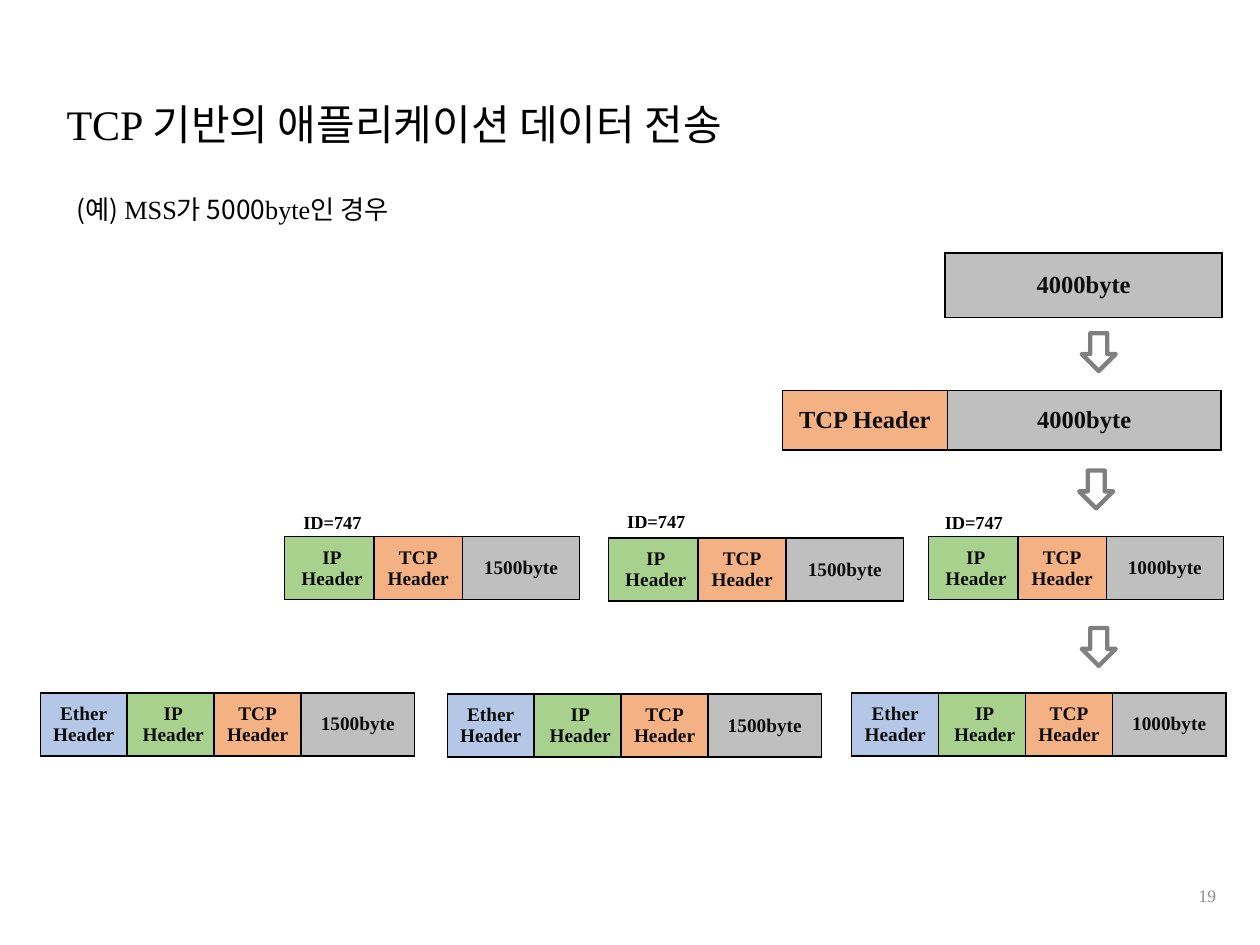
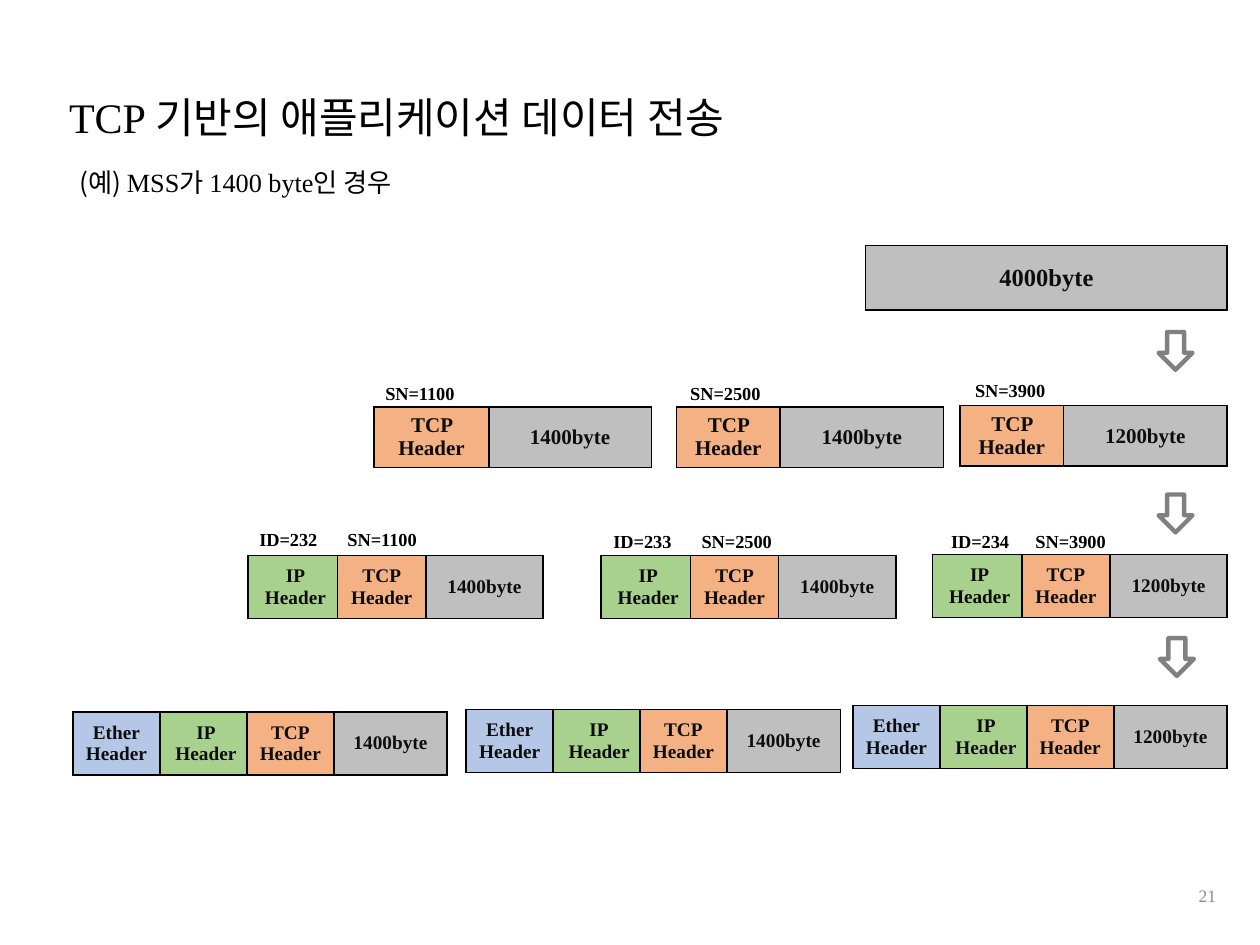
"""Build two slides showing how TCP data is split into packets."""
from dataclasses import dataclass

from lxml.etree import SubElement
from pptx import Presentation
from pptx.dml.color import RGBColor
from pptx.enum.shapes import MSO_SHAPE as Preset
from pptx.enum.text import MSO_ANCHOR as Anchor, PP_ALIGN as Align
from pptx.oxml.ns import qn
from pptx.util import Inches, Pt


@dataclass(frozen=True)
class Theme:
    latin: str = "Times New Roman"
    korean: str = "Noto Sans CJK KR"
    black: str = "000000"
    cell_text: str = "0D0D0D"
    arrow: str = "808080"
    page: str = "8C8C8C"
    title_size: float = 24
    subtitle_size: float = 15
    label_size: float = 10.5
    page_size: float = 10
    korean_spacing: float = 0.85


THEME = Theme()
FILLS = {"Ether": "B4C7E7", "IP": "A9D18E", "TCP": "F4B183", "data": "BFBFBF"}
TITLE = [("TCP ", THEME.latin), ("기반의 애플리케이션 데이터 전송", THEME.korean)]

# kind: height, type size, then (part, caption, width) for each cell
STAGES = {
    "data": (0.51, 14, [("data", None, 2.2)]),
    "wide data": (0.51, 14, [("data", None, 2.87)]),
    "segment": (0.47, 14, [("TCP", "TCP Header", 1.31), ("data", None, 2.17)]),
    "first segment": (0.47, 12, [("TCP", "TCP Header", 0.91), ("data", None, 1.29)]),
    "next segment": (0.47, 12, [("TCP", "TCP Header", 0.82), ("data", None, 1.3)]),
    "packet": (0.5, 11, [("IP", "IP\nHeader", 0.71), ("TCP", "TCP\nHeader", 0.7),
                         ("data", None, 0.93)]),
    "frame": (0.5, 11, [("Ether", "Ether\nHeader", 0.69), ("IP", "IP\nHeader", 0.69),
                        ("TCP", "TCP\nHeader", 0.69), ("data", None, 0.9)]),
}

SLIDES = [
    {
        "page": "19",
        "title_at": (0.43, 0.79),
        "subtitle_at": (0.51, 1.52),
        "subtitle": [("(예) ", THEME.korean), ("MSS", THEME.latin), ("가 5000", THEME.korean),
                     ("byte", THEME.latin), ("인 경우", THEME.korean)],
        "units": [
            ("data", "4000byte", 7.5, 2.01), ("segment", "4000byte", 6.21, 3.1),
            ("packet", "1500byte", 2.26, 4.26), ("packet", "1500byte", 4.83, 4.27),
            ("packet", "1000byte", 7.37, 4.26),
            ("frame", "1500byte", 0.32, 5.5), ("frame", "1500byte", 3.55, 5.51),
            ("frame", "1000byte", 6.76, 5.5),
        ],
        "labels": [("ID=747", 2.31, 4.01), ("ID=747", 4.88, 4.0), ("ID=747", 7.4, 4.01)],
        "arrows": [(8.57, 2.66), (8.55, 3.75), (8.57, 5.0)],
    },
    {
        "page": "21",
        "title_at": (0.45, 0.74),
        "subtitle_at": (0.53, 1.31),
        "subtitle": [("(예) ", THEME.korean), ("MSS", THEME.latin), ("가 ", THEME.korean),
                     ("1400 byte", THEME.latin), ("인 경우", THEME.korean)],
        "units": [
            ("wide data", "4000byte", 6.87, 1.95),
            ("first segment", "1400byte", 2.97, 3.23), ("next segment", "1400byte", 5.37, 3.23),
            ("next segment", "1200byte", 7.62, 3.22),
            ("packet", "1400byte", 1.97, 4.41), ("packet", "1400byte", 4.77, 4.41),
            ("packet", "1200byte", 7.4, 4.4),
            ("frame", "1400byte", 0.58, 5.65), ("frame", "1400byte", 3.7, 5.63),
            ("frame", "1200byte", 6.77, 5.6),
        ],
        "labels": [
            ("SN=1100", 2.96, 2.98), ("SN=2500", 5.38, 2.98), ("SN=3900", 7.64, 2.96),
            ("ID=232", 1.96, 4.14), ("SN=1100", 2.66, 4.14),
            ("ID=233", 4.77, 4.16), ("SN=2500", 5.47, 4.16),
            ("ID=234", 7.45, 4.16), ("SN=3900", 8.12, 4.16),
        ],
        "arrows": [(9.18, 2.65), (9.18, 3.94), (9.19, 5.08)],
    },
]


def style_run(run, size, color, font=THEME.latin, bold=False):
    run.font.size = Pt(size)
    run.font.bold = bold
    run.font.name = font
    run.font.color.rgb = RGBColor.from_string(color)
    if font == THEME.korean:
        SubElement(run._r.get_or_add_rPr(), qn("a:ea"), typeface=font)


def add_text(slide, box, runs, size, color=THEME.black, bold=False, wrap=False):
    shape = slide.shapes.add_textbox(*map(Inches, box))
    shape.text_frame.word_wrap = wrap
    paragraph = shape.text_frame.paragraphs[0]
    for text, font in runs:
        run = paragraph.add_run()
        run.text = text
        style_run(run, size, color, font, bold)
    return shape


def add_heading(slide, box, runs, size, wrap=False):
    shape = add_text(slide, box, runs, size, wrap=wrap)
    shape.text_frame.paragraphs[0].line_spacing = THEME.korean_spacing


def add_borders(cell):
    properties = cell._tc.get_or_add_tcPr()
    for position, side in enumerate(("a:lnL", "a:lnR", "a:lnT", "a:lnB")):
        line = properties.makeelement(qn(side), {"w": str(Pt(1))})
        fill = SubElement(line, qn("a:solidFill"))
        SubElement(fill, qn("a:srgbClr"), val=THEME.black)
        properties.insert(position, line)


def add_unit(slide, kind, payload, left, top):
    height, size, parts = STAGES[kind]
    width = sum(part[2] for part in parts)
    frame = slide.shapes.add_table(1, len(parts), *map(Inches, (left, top, width, height)))
    table = frame.table
    table.first_row = table.horz_banding = False
    table.rows[0].height = Inches(height)
    for column, (part, caption, column_width) in enumerate(parts):
        table.columns[column].width = Inches(column_width)
        cell = table.cell(0, column)
        cell.margin_left = Inches(0.11 if part == "IP" else 0.07)
        cell.margin_right = Inches(0.07)
        cell.margin_top = cell.margin_bottom = Inches(0.04)
        cell.vertical_anchor = Anchor.MIDDLE
        cell.fill.solid()
        cell.fill.fore_color.rgb = RGBColor.from_string(FILLS[part])
        add_borders(cell)
        cell.text_frame.text = caption or payload
        for paragraph in cell.text_frame.paragraphs:
            paragraph.alignment = Align.CENTER
            style_run(paragraph.runs[0], size, THEME.cell_text, bold=True)


def add_down_arrow(slide, left, top):
    shape = slide.shapes.add_shape(Preset.RIGHT_ARROW, *map(Inches, (left, top, 0.3, 0.27)))
    shape.rotation = 90
    shape.shadow.inherit = False
    shape.fill.background()
    shape.line.color.rgb = RGBColor.from_string(THEME.arrow)
    shape.line.width = Pt(2.5)


def add_page_number(slide, number):
    shape = add_text(slide, (7.5, 6.91, 2.25, 0.4), [(number, THEME.latin)],
                     THEME.page_size, THEME.page, wrap=True)
    shape.text_frame.vertical_anchor = Anchor.MIDDLE
    shape.text_frame.paragraphs[0].alignment = Align.RIGHT


def build_slide(presentation, content):
    slide = presentation.slides.add_slide(presentation.slide_layouts[6])
    add_heading(slide, (*content["title_at"], 5.86, 0.91), TITLE, THEME.title_size)
    add_heading(slide, (*content["subtitle_at"], 2.85, 0.35), content["subtitle"],
                THEME.subtitle_size, wrap=True)
    for unit in content["units"]:
        add_unit(slide, *unit)
    for text, left, top in content["labels"]:
        width = 0.67 if text.startswith("ID") else 0.77
        add_text(slide, (left, top, width, 0.28), [(text, THEME.latin)],
                 THEME.label_size, bold=True)
    for left, top in content["arrows"]:
        add_down_arrow(slide, left, top)
    add_page_number(slide, content["page"])


def main():
    presentation = Presentation()
    presentation.slide_width, presentation.slide_height = Inches(10), Inches(7.5)
    for content in SLIDES:
        build_slide(presentation, content)
    presentation.save("out.pptx")


if __name__ == "__main__":
    main()
